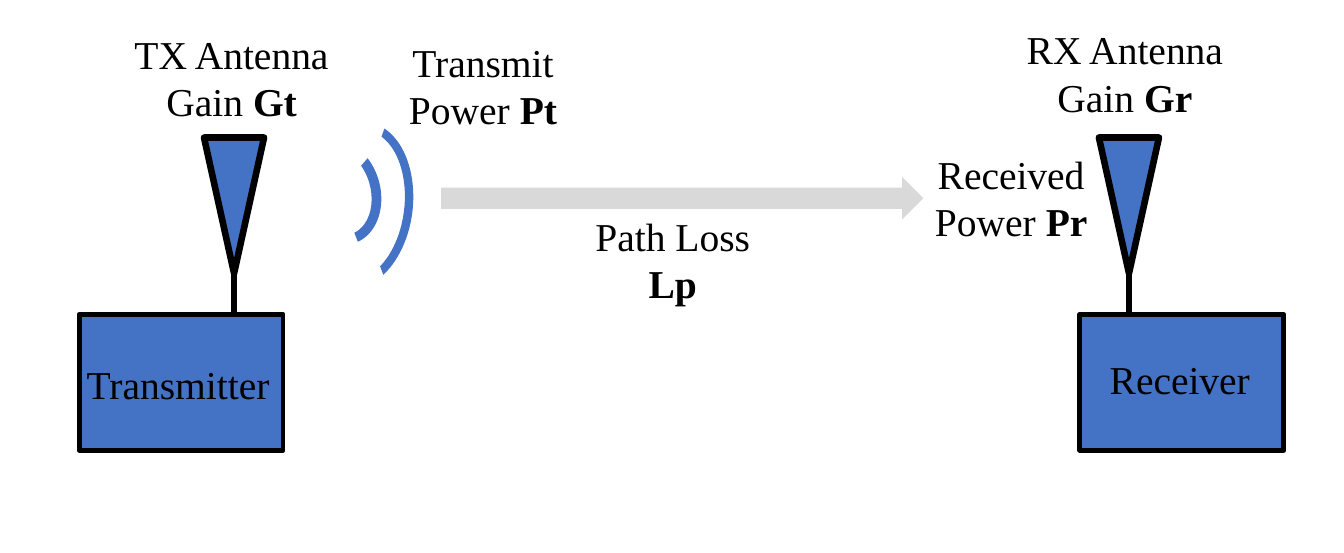
"""Build the radio link budget slide: transmitter, path loss and receiver."""
import pptx
import pptx.dml.color
import pptx.enum.shapes
import pptx.enum.text
import pptx.oxml.ns
import pptx.util
from pptx.util import Inches

BLUE, BLACK, GREY = "4472C4", "000000", "D9D9D9"
SHAPES = pptx.enum.shapes.MSO_SHAPE
ALIGN = pptx.enum.text.PP_ALIGN

WAVES = [
    ((1.8, 0.95, 0.68, 0.53), 73.9, (142.222, 212.889, 0.116)),
    ((1.73, 0.95, 1.06, 0.7), 97.1, (115.339, 199.487, 0.076)),
]
STATIONS = [
    {"mast": 1.48, "cabinet": 0.5},
    {"mast": 7.14, "cabinet": 6.83},
]
ANTENNA_WIDTH, ANTENNA_HEIGHT, ANTENNA_TOP = 0.38, 0.86, 0.87
MAST_BOTTOM = 2.37
CABINET_TOP, CABINET_WIDTH, CABINET_HEIGHT = 1.99, 1.29, 0.86
PATH_ARROW = (2.79, 1.12, 3.05, 0.27)

QUANTITY_SIZE = (1.51, 0.71)
QUANTITIES = [
    ((0.71, 0.14), [[("TX Antenna Gain ", False), ("Gt", True)]]),
    ((6.36, 0.11), [[("RX Antenna Gain ", False), ("Gr", True)]]),
    ((2.3, 0.19), [[("Transmit Power ", False), ("Pt", True)]]),
    ((3.5, 1.29), [[("Path Loss", False)], [("Lp", True)]]),
    ((5.64, 0.9), [[("Received Power ", False), ("Pr", True)]]),
]
DEVICE_NAMES = [
    ((0.45, 2.23, 1.5, 0.44), [[("Transmitter", False)]]),
    ((6.92, 2.2, 1.1, 0.4), [[("Receiver", False)]]),
]
LABEL_FONT = {"name": "Times New Roman", "size": pptx.util.Pt(18)}


def color(value):
    return pptx.dml.color.RGBColor.from_string(value)


def outline(line, weight):
    line.color.rgb = color(BLACK)
    line.width = pptx.util.Pt(weight)


def add_part(slide, preset, box, fill, weight=0, rotation=0):
    part = slide.shapes.add_shape(preset, *map(Inches, box))
    part.shadow.inherit = False
    part.rotation = rotation
    part.fill.solid()
    part.fill.fore_color.rgb = color(fill)
    if weight:
        outline(part.line, weight)
    else:
        part.line.fill.background()
    return part


def add_station(slide, mast, cabinet):
    antenna = (mast - ANTENNA_WIDTH / 2, ANTENNA_TOP, ANTENNA_WIDTH, ANTENNA_HEIGHT)
    add_part(slide, SHAPES.ISOSCELES_TRIANGLE, antenna, BLUE, 3, 180)
    ends = (mast, ANTENNA_TOP + ANTENNA_HEIGHT, mast, MAST_BOTTOM)
    pole = slide.shapes.add_connector(
        pptx.enum.shapes.MSO_CONNECTOR.STRAIGHT, *map(Inches, ends))
    outline(pole.line, 3)
    properties = pole._element.spPr
    properties.append(properties.makeelement(pptx.oxml.ns.qn("a:effectLst"), {}))
    body = (cabinet, CABINET_TOP, CABINET_WIDTH, CABINET_HEIGHT)
    add_part(slide, SHAPES.RECTANGLE, body, BLUE, 2.25)


def add_label(slide, box, lines, wrap, alignment):
    frame = slide.shapes.add_textbox(*map(Inches, box)).text_frame
    frame.word_wrap = wrap
    frame.auto_size = pptx.enum.text.MSO_AUTO_SIZE.SHAPE_TO_FIT_TEXT
    for index, pieces in enumerate(lines):
        paragraph = frame.add_paragraph() if index else frame.paragraphs[0]
        paragraph.alignment = alignment
        for words, bold in pieces:
            run = paragraph.add_run()
            run.text = words
            for attribute, value in {**LABEL_FONT, "bold": bold}.items():
                setattr(run.font, attribute, value)
            run.font.color.rgb = color(BLACK)


def main():
    deck = pptx.Presentation()
    deck.slide_width, deck.slide_height = Inches(8.5), Inches(3.5)
    slide = deck.slides.add_slide(deck.slide_layouts[6])
    for box, rotation, bends in WAVES:
        wave = add_part(slide, SHAPES.BLOCK_ARC, box, BLUE, rotation=rotation)
        for index, bend in enumerate(bends):
            wave.adjustments[index] = bend
    for station in STATIONS:
        add_station(slide, **station)
    add_part(slide, SHAPES.RIGHT_ARROW, PATH_ARROW, GREY)
    for corner, lines in QUANTITIES:
        add_label(slide, corner + QUANTITY_SIZE, lines, True, ALIGN.CENTER)
    for box, lines in DEVICE_NAMES:
        add_label(slide, box, lines, False, ALIGN.LEFT)
    deck.save("out.pptx")


if __name__ == "__main__":
    main()
